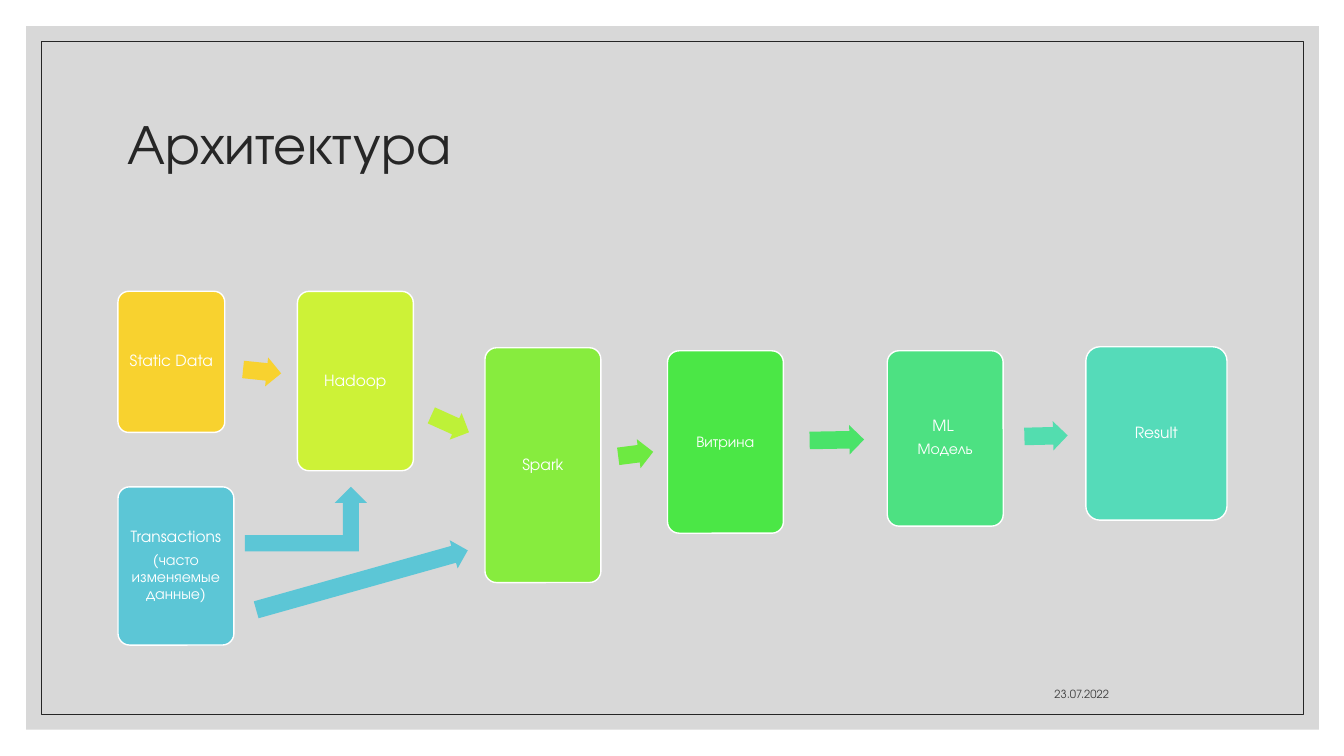
import lxml.etree
import pptx
import pptx.dml.color
import pptx.enum.shapes
import pptx.enum.text
import pptx.oxml.ns
import pptx.util

RGB = pptx.dml.color.RGBColor
KIND = pptx.enum.shapes.MSO_SHAPE
ALIGN = pptx.enum.text.PP_ALIGN
ANCHOR = pptx.enum.text.MSO_ANCHOR

WHITE = RGB(0xFF, 0xFF, 0xFF)
SILVER = RGB(0xBF, 0xBF, 0xBF)
DARK = RGB(0x26, 0x26, 0x26)
GREY = RGB(0x40, 0x40, 0x40)
YELLOW = RGB(0xF8, 0xD2, 0x2F)
LEMON = RGB(0xCD, 0xF2, 0x37)
LIME = RGB(0xBE, 0xF1, 0x38)
APPLE = RGB(0x87, 0xEC, 0x3E)
GRASS = RGB(0x6D, 0xEA, 0x41)
GREEN = RGB(0x4B, 0xE7, 0x46)
FERN = RGB(0x4A, 0xE3, 0x69)
MINT = RGB(0x4D, 0xE1, 0x82)
JADE = RGB(0x53, 0xDD, 0xAF)
TEAL = RGB(0x55, 0xDB, 0xB9)
BLUE = RGB(0x5C, 0xC6, 0xD6)


class Sheet:
    font = "TeX Gyre Adventor"
    scale = 9144

    def __init__(self, deck):
        self.slide = deck.slides.add_slide(deck.slide_layouts[6])

    def px(self, *sizes):
        return [pptx.util.Emu(size * self.scale) for size in sizes]

    def shape(self, kind, place, fill=None, line=None, width=1):
        item = self.slide.shapes.add_shape(kind, *self.px(*place))
        item.shadow.inherit = False
        if fill is None:
            item.fill.background()
        else:
            item.fill.solid()
            item.fill.fore_color.rgb = fill
        if line is None:
            item.line.fill.background()
        else:
            item.line.color.rgb = line
            item.line.width = pptx.util.Pt(width)
        return item

    def panel(self, place, fill, alpha):
        item = self.shape(KIND.RECTANGLE, place, fill)
        color = next(item.element.iter(pptx.oxml.ns.qn("a:srgbClr")))
        lxml.etree.SubElement(color, pptx.oxml.ns.qn("a:alpha"), val=str(alpha * 1000))

    def words(self, frame, text, size, color, align, anchor, lead=None, after=0):
        frame.word_wrap = True
        frame.vertical_anchor = anchor
        frame.text = text
        for para in frame.paragraphs:
            para.alignment = align
            para.line_spacing = lead
            para.space_after = pptx.util.Pt(after)
            for run in para.runs:
                run.font.name = self.font
                run.font.size = pptx.util.Pt(size)
                run.font.color.rgb = color

    def label(self, place, *style):
        box = self.slide.shapes.add_textbox(*self.px(*place))
        self.words(box.text_frame, *style)

    def card(self, text, place, fill):
        item = self.shape(KIND.ROUNDED_RECTANGLE, place, fill, WHITE)
        item.adjustments[0] = 0.1
        frame = item.text_frame
        inset = self.px(5)[0]
        frame.margin_left = frame.margin_right = inset
        frame.margin_top = frame.margin_bottom = inset
        self.words(frame, text, 11, WHITE, ALIGN.CENTER, ANCHOR.MIDDLE, 0.9, 4.6)

    def arrow(self, left, top, width, turn, fill):
        item = self.shape(KIND.RIGHT_ARROW, (left, top, width, 29), fill)
        item.adjustments[0] = 0.6
        item.adjustments[1] = 0.5
        item.rotation = turn

    def bend(self, place, fill):
        self.shape(KIND.BENT_UP_ARROW, place, fill)


CARDS = [
    ("Static Data", (117, 289, 106, 140), YELLOW),
    ("Hadoop", (295, 289, 115, 178), LEMON),
    ("Spark", (481, 345, 115, 233), APPLE),
    ("Витрина", (662, 348, 115, 181), GREEN),
    ("ML \nМодель", (880, 348, 115, 174), MINT),
    ("Result", (1077, 344, 140, 172), TEAL),
    ("Transactions\n(часто изменяемые данные)", (117, 483, 115, 157), BLUE),
]

ARROWS = [
    (241, 354, 38, 5.9, YELLOW),
    (426, 406, 41, 24.2, LIME),
    (613, 436, 35, -7.3, GRASS),
    (803, 422, 54, -1, FERN),
    (1016, 418, 43, -1.4, JADE),
    (250, 561, 218, -15.7, BLUE),
]


def main():
    deck = pptx.Presentation()
    deck.slide_width = pptx.util.Inches(13.33)
    deck.slide_height = pptx.util.Inches(7.5)
    sheet = Sheet(deck)
    sheet.panel((26, 26, 1282, 698), SILVER, 60)
    sheet.shape(KIND.RECTANGLE, (41, 41, 1252, 668), line=DARK, width=0.5)
    sheet.label((117, 70, 1100, 150), "Архитектура", 40, DARK, ALIGN.LEFT, ANCHOR.MIDDLE, 0.9)
    sheet.label((794, 660, 316, 40), "23.07.2022", 8, GREY, ALIGN.RIGHT, ANCHOR.BOTTOM)
    for card in CARDS:
        sheet.card(*card)
    for arrow in ARROWS:
        sheet.arrow(*arrow)
    sheet.bend((243, 483, 121, 64), BLUE)
    deck.save("out.pptx")


if __name__ == "__main__":
    main()
